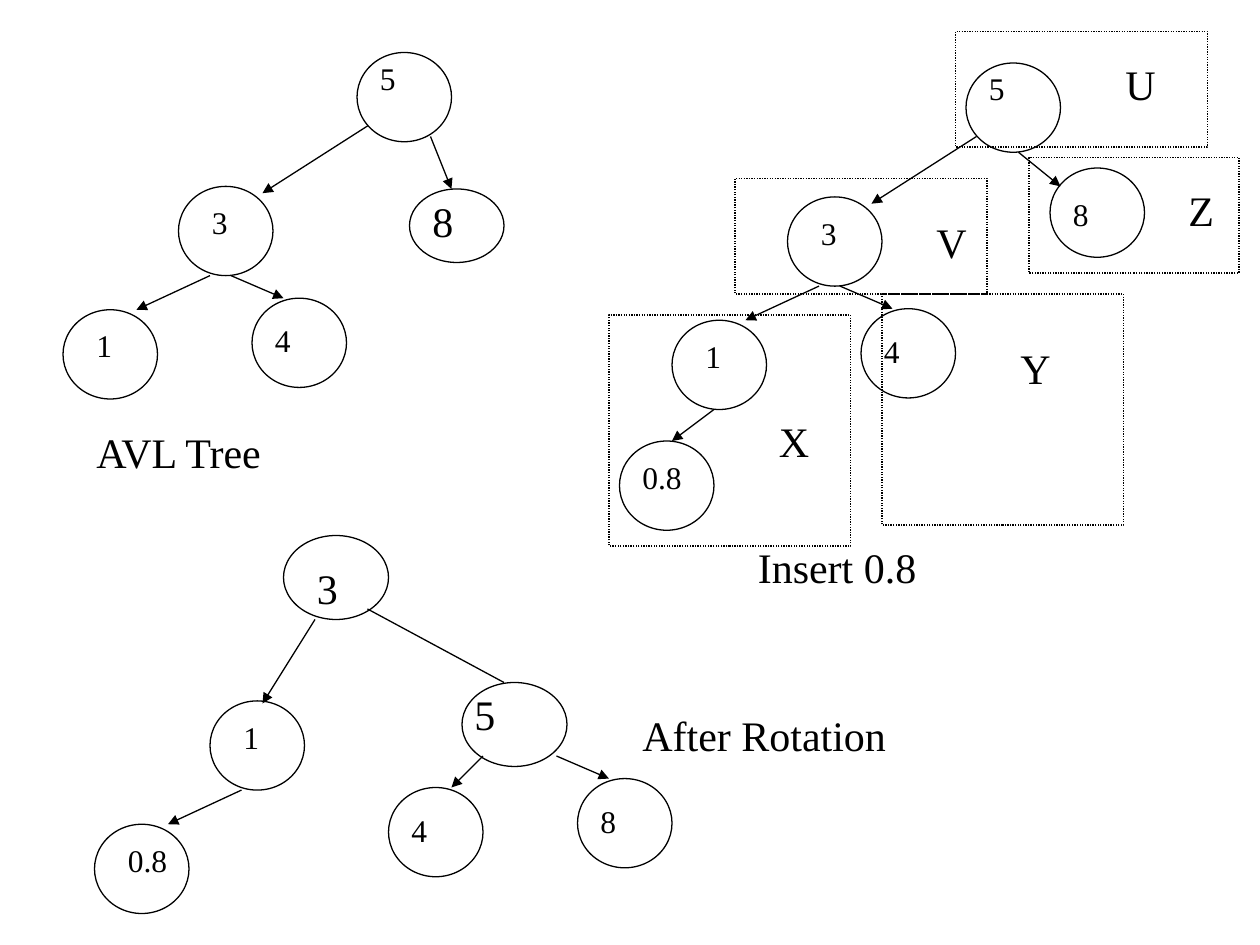
"""Build a slide that shows an AVL tree before and after an insertion and a rotation."""
from dataclasses import dataclass

from pptx import Presentation
from pptx import util as u
from pptx.dml.color import RGBColor
from pptx.enum import dml, shapes, text
from pptx.oxml import parse_xml
from pptx.oxml.ns import nsdecls


@dataclass(frozen=True)
class Theme:
    ink: RGBColor = RGBColor(0, 0, 0)
    font: str = "Times New Roman"
    small: int = 18
    large: int = 24
    rule: float = 0.75


@dataclass(frozen=True)
class Node:
    label: str
    left: float
    top: float
    indent: float = 1
    drop: float = 1
    width: float = 9
    height: float = 8.5
    size: int = Theme.small


@dataclass(frozen=True)
class Edge:
    start: tuple[float, float]
    end: tuple[float, float]
    arrow: bool = True


@dataclass(frozen=True)
class Region:
    label: str
    left: float
    top: float
    width: float
    height: float
    label_left: float
    label_top: float


@dataclass(frozen=True)
class Tree:
    caption: str
    caption_left: float
    caption_top: float
    caption_width: float
    nodes: list[Node]
    edges: list[Edge]


THEME = Theme()
COLUMNS, ROWS = 120, 90

TREES = [
    Tree("AVL Tree", 8, 40, 48, [
        Node("5", 34, 5, drop=0),
        Node("3", 17, 17.75, indent=2),
        Node("1", 6, 29.5, indent=2),
        Node("4", 24, 28.4, drop=1.6),
        Node("8", 39, 18, drop=0, height=7, size=THEME.large),
    ], [
        Edge((35, 12), (25, 18.4)),
        Edge((41, 13), (43, 18)),
        Edge((20, 26.25), (13, 29.5)),
        Edge((22, 26.25), (27, 28.4)),
    ]),
    Tree("Insert 0.8", 71, 51, 49, [
        Node("5", 92, 6, drop=0),
        Node("3", 75, 18.75, indent=2),
        Node("1", 64, 30.5, indent=2),
        Node("4", 82, 29.4, drop=1.6),
        Node("8", 100, 16, drop=2),
        Node("0.8", 59, 42),
    ], [
        Edge((93, 13), (83, 19.4)),
        Edge((97, 14.5), (101, 17.75)),
        Edge((78, 27.25), (71, 30.5)),
        Edge((80, 27.25), (85, 29.4)),
        Edge((68, 39), (64, 42)),
    ]),
    Tree("After Rotation", 60, 67, 30, [
        Node("3", 27, 51, 2, 2, width=10, height=8, size=THEME.large),
        Node("5", 44, 65, 0, 0, width=10, height=8, size=THEME.large),
        Node("1", 20, 66.75, indent=2),
        Node("0.8", 9, 78.5, indent=2),
        Node("4", 37, 75, drop=1.6),
        Node("8", 55, 74.15, drop=1.6),
    ], [
        Edge((35, 58), (48, 65), arrow=False),
        Edge((30, 59), (25, 67)),
        Edge((23, 75.25), (16, 78.5)),
        Edge((46, 72), (43, 75)),
        Edge((53, 72), (58, 74.15)),
    ]),
]

REGIONS = [
    Region("U", 91, 3, 24, 11, 106, 5),
    Region("V", 70, 17, 24, 11, 88, 20),
    Region("X", 58, 30, 23, 22, 73, 39),
    Region("Y", 84, 28, 23, 22, 96, 32),
    Region("Z", 98, 15, 20, 11, 112, 17),
]


def grid(steps: float) -> u.Length:
    """Turn grid steps, twelve to 2.54 cm, into a length."""
    return u.Cm(steps * 2.54 / 12)


def add_text(page, words: str, *, left: float, top: float, width: float, size: int) -> None:
    """Write one line of text that starts at a grid point."""
    box = page.shapes.add_textbox(grid(left), grid(top), grid(width), grid(size / 4))
    frame = box.text_frame
    frame.word_wrap = True
    frame.auto_size = text.MSO_AUTO_SIZE.SHAPE_TO_FIT_TEXT
    para = frame.paragraphs[0]
    para.space_before = u.Pt(size * 0.625)
    span = para.add_run()
    span.text = words
    span.font.name = THEME.font
    span.font.size = u.Pt(size)
    span.font.color.rgb = THEME.ink


def ink_line(line) -> None:
    """Give an outline or a connector the theme's stroke."""
    line.color.rgb = THEME.ink
    line.width = u.Pt(THEME.rule)


def add_outline(page, kind: shapes.MSO_SHAPE, item: Node | Region):
    """Draw an unfilled shape with the bounds of a node or region."""
    shape = page.shapes.add_shape(
        kind, grid(item.left), grid(item.top), grid(item.width), grid(item.height))
    shape.shadow.inherit = False
    shape.fill.background()
    ink_line(shape.line)
    return shape


def add_node(page, node: Node) -> None:
    """Draw a tree node and its key."""
    add_outline(page, shapes.MSO_SHAPE.OVAL, node)
    add_text(page, node.label, left=node.left + node.indent, top=node.top + node.drop,
             width=12, size=node.size)


def add_edge(page, edge: Edge) -> None:
    """Draw a link from a parent to its child."""
    link = page.shapes.add_connector(
        shapes.MSO_CONNECTOR.STRAIGHT, *map(grid, edge.start + edge.end))
    ink_line(link.line)
    if edge.arrow:
        link.line._get_or_add_ln().append(
            parse_xml(f'<a:tailEnd {nsdecls("a")} type="triangle"/>'))
    link._element.spPr.append(parse_xml(f'<a:effectLst {nsdecls("a")}/>'))


def add_region(page, region: Region) -> None:
    """Draw a dotted frame around a subtree and name it."""
    frame = add_outline(page, shapes.MSO_SHAPE.RECTANGLE, region)
    frame.line.dash_style = dml.MSO_LINE.ROUND_DOT
    add_text(page, region.label, left=region.label_left, top=region.label_top,
             width=8, size=THEME.large)


def add_tree(page, tree: Tree) -> None:
    """Draw a tree's nodes, links and caption."""
    for node in tree.nodes:
        add_node(page, node)
    for edge in tree.edges:
        add_edge(page, edge)
    add_text(page, tree.caption, left=tree.caption_left, top=tree.caption_top,
             width=tree.caption_width, size=THEME.large)


def main() -> None:
    """Build and save the deck."""
    deck = Presentation()
    deck.slide_width, deck.slide_height = grid(COLUMNS), grid(ROWS)
    page = deck.slides.add_slide(deck.slide_layouts.get_by_name("Blank"))
    for tree in TREES:
        add_tree(page, tree)
    for region in REGIONS:
        add_region(page, region)
    deck.save("out.pptx")


if __name__ == "__main__":
    main()
